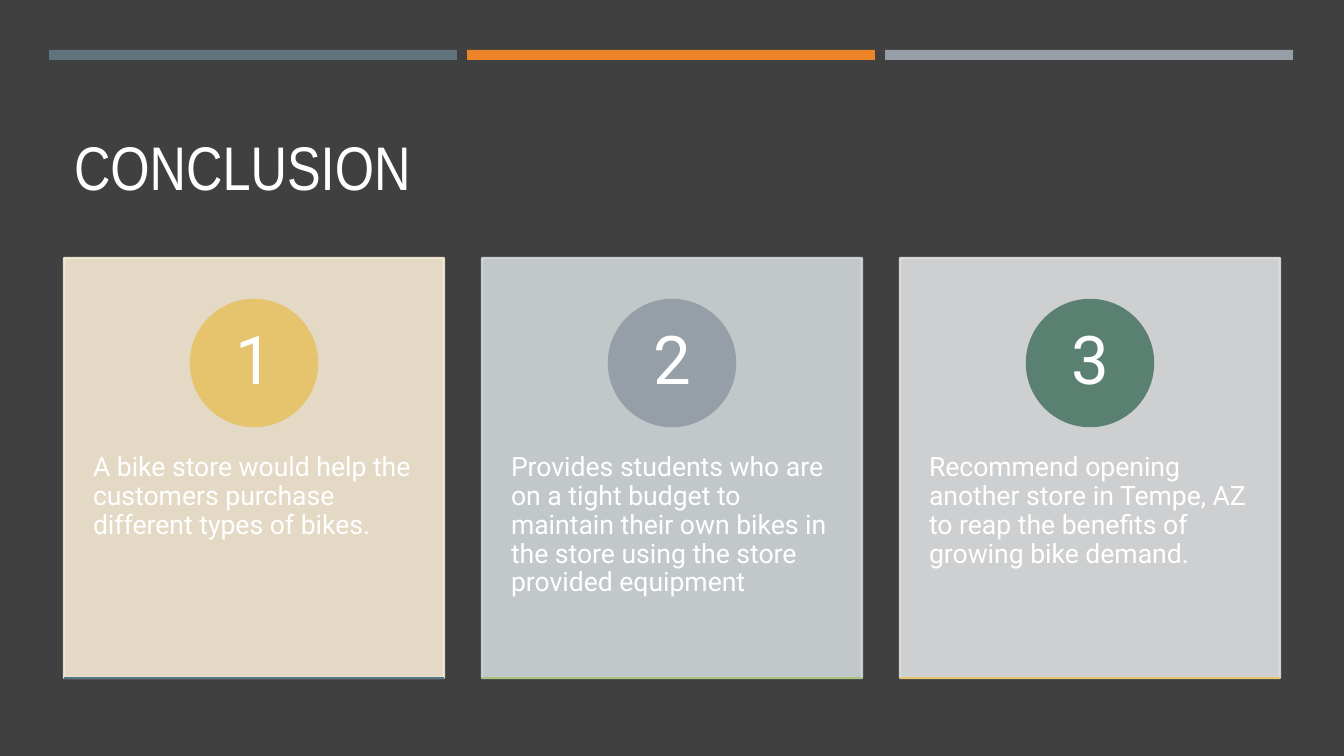
from lxml import etree
from pptx import Presentation, util as u
from pptx.dml.color import RGBColor
from pptx.enum import shapes, text
from pptx.oxml.ns import qn

# Content
HEADING = "CONCLUSION"
BAR_COLOURS = ["60727A", "ED8428", "969FA7"]
# (point, card colour, badge colour, base line colour)
CARDS = [
    ("A bike store would help the customers purchase different types of bikes.",
     "F5EAD4", "E6C46D", "537685"),
    ("Provides students who are on a tight budget to maintain their own bikes "
     "in the store using the store provided equipment",
     "D1D6D9", "969FA7", "A9C37C"),
    ("Recommend opening another store in Tempe, AZ to reap the benefits of "
     "growing bike demand.",
     "DDDFE1", "5A8071", "E6C46D"),
]
BACKGROUND, WHITE = "404040", "FFFFFF"

# Layout in px
SLIDE_W, SLIDE_H = 1344, 756
PITCH = 418
BAR_LEFT, BAR_TOP, BAR_W, BAR_H = 49, 50, 408, 10
CARD_LEFT, CARD_TOP, CARD_W, CARD_H = 64, 258, 380, 420
BADGE, BADGE_TOP = 126, 300
NUMBER = 88
POINT_TOP, POINT_H = 418, 252
EMU_PER_PX = 914400 / 100.8


def px(*lengths):
    return [u.Emu(round(n * EMU_PER_PX)) for n in lengths]


def colour(code):
    return RGBColor.from_string(code)


def set_alpha(fill_format_parent, percent):
    for tint in fill_format_parent.iter(qn("a:srgbClr")):
        etree.SubElement(tint, qn("a:alpha")).set("val", str(percent * 1000))


def write(box, words, size, font="Roboto", align=text.PP_ALIGN.LEFT,
          anchor=text.MSO_ANCHOR.TOP, insets=(10, 5)):
    frame = box.text_frame
    frame.word_wrap = True
    frame.auto_size = text.MSO_AUTO_SIZE.NONE
    frame.vertical_anchor = anchor
    frame.margin_left, frame.margin_top = px(*insets)
    frame.margin_right, frame.margin_bottom = px(*insets)
    line = frame.paragraphs[0]
    line.alignment, line.line_spacing = align, 0.9
    run = line.add_run()
    run.text = words
    run.font.name, run.font.size = font, u.Pt(size)
    run.font.color.rgb = colour(WHITE)


def add_filled(kind, at, fill, outlined=True, opacity=100):
    shape = slide.shapes.add_shape(kind, *px(*at))
    shape.shadow.inherit = False
    shape.fill.solid()
    shape.fill.fore_color.rgb = colour(fill)
    if outlined:
        shape.line.color.rgb = colour(fill)
        shape.line.width = u.Pt(1.75)
    else:
        shape.line.fill.background()
    if opacity < 100:
        set_alpha(shape.element.spPr, opacity)


prs = Presentation()
prs.slide_width, prs.slide_height = px(SLIDE_W, SLIDE_H)
slide = prs.slides.add_slide(prs.slide_layouts[5])
slide.background.fill.solid()
slide.background.fill.fore_color.rgb = colour(BACKGROUND)

# Title
title = slide.shapes.title
title.left, title.top, title.width, title.height = px(64, 78, 1216, 131)
write(title, HEADING, 44, font="Arial Narrow", anchor=text.MSO_ANCHOR.BOTTOM)

# Top bars
for i, bar_colour in enumerate(BAR_COLOURS):
    add_filled(shapes.MSO_SHAPE.RECTANGLE,
               (BAR_LEFT + i * PITCH, BAR_TOP, BAR_W, BAR_H),
               bar_colour, outlined=False)

# Numbered cards
for i, (point, card_colour, badge_colour, base_colour) in enumerate(CARDS):
    left = CARD_LEFT + i * PITCH
    middle = left + CARD_W / 2
    bottom = CARD_TOP + CARD_H
    add_filled(shapes.MSO_SHAPE.RECTANGLE, (left, CARD_TOP, CARD_W, CARD_H),
               card_colour, opacity=90)
    point_box = slide.shapes.add_textbox(*px(left, POINT_TOP, CARD_W, POINT_H))
    write(point_box, point, 19, insets=(29, 36))

    add_filled(shapes.MSO_SHAPE.OVAL,
               (middle - BADGE / 2, BADGE_TOP, BADGE, BADGE), badge_colour)
    number_box = slide.shapes.add_textbox(
        *px(middle - NUMBER / 2, BADGE_TOP + (BADGE - NUMBER) / 2, NUMBER, NUMBER))
    write(number_box, str(i + 1), 48, align=text.PP_ALIGN.CENTER,
          anchor=text.MSO_ANCHOR.MIDDLE, insets=(10, 1))

    base = slide.shapes.add_connector(
        shapes.MSO_CONNECTOR.STRAIGHT, *px(left, bottom, left + CARD_W, bottom))
    base.line.color.rgb = colour(base_colour)
    base.line.width = u.Pt(1.75)
    etree.SubElement(base.element.spPr, qn("a:effectLst"))

prs.save("out.pptx")
